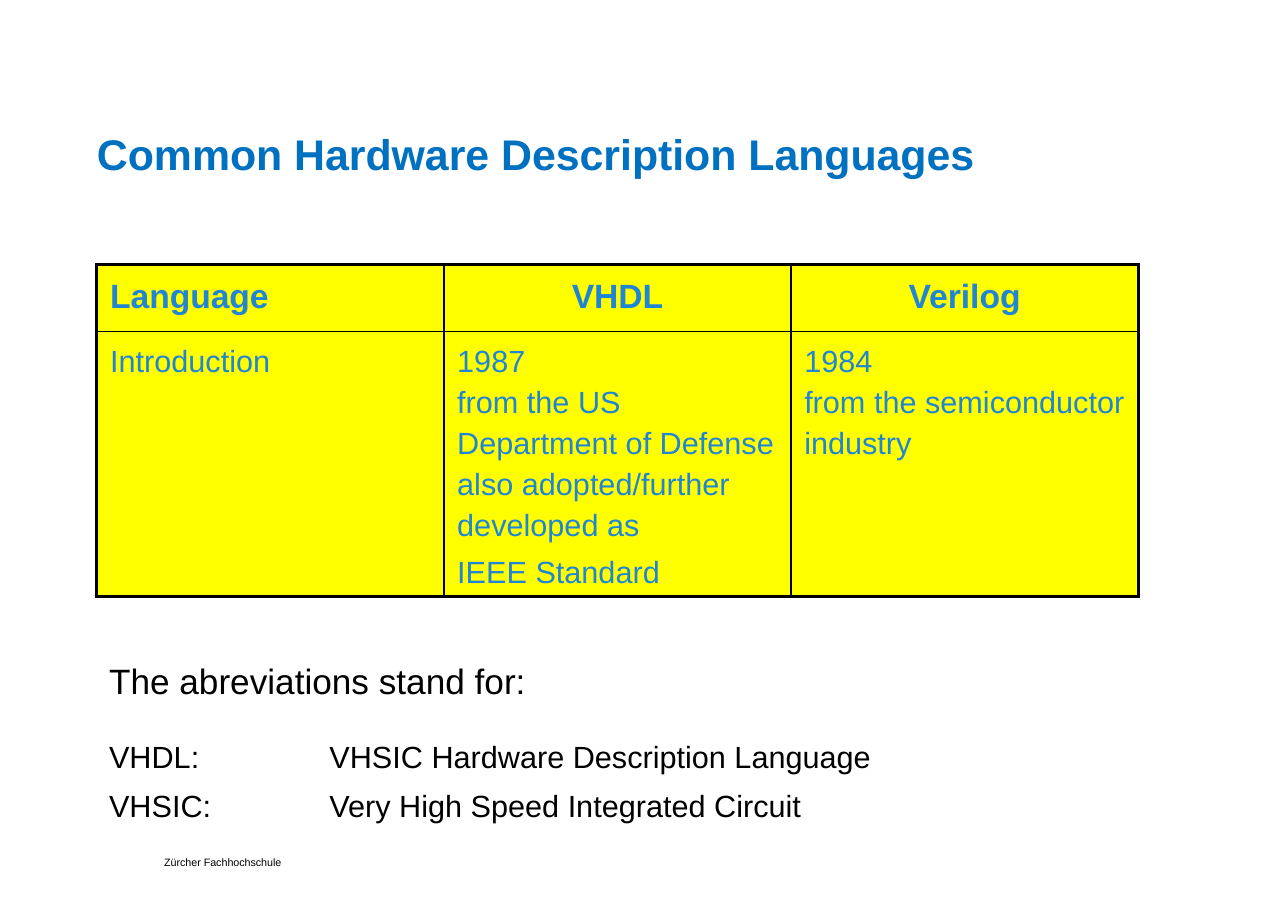
import pptx
import pptx.util
import pptx.dml.color
import pptx.enum.text
import pptx.oxml
import pptx.oxml.ns
from lxml import etree

Inches, Pt = pptx.util.Inches, pptx.util.Pt
RGB = pptx.dml.color.RGBColor
ALIGN = pptx.enum.text.PP_ALIGN
ANCHOR = pptx.enum.text.MSO_ANCHOR
qn = pptx.oxml.ns.qn

BLACK = RGB(0, 0, 0)
TITLE = RGB(0x00, 0x70, 0xC0)
BLUE = RGB(0x20, 0x85, 0xD4)
YELLOW = RGB(0xFF, 0xFF, 0x00)

HEAD = "Common Hardware Description Languages"
ROWS = [
    [["Language"], ["VHDL"], ["Verilog"]],
    [["Introduction"],
     ["1987\vfrom the US Department of Defense also adopted/further developed as",
      "IEEE Standard"],
     ["1984\vfrom the semiconductor industry"]],
]
HEIGHTS = [0.61, 2.4]
COL = 3.15
LEFT = 0.88
TERMS = ["The abreviations stand for:",
         "VHDL:\tVHSIC Hardware Description Language\v"
         "VHSIC:\tVery High Speed Integrated Circuit"]
FOOT = "Zürcher Fachhochschule"


def put(obj, vals):
    for key, val in vals.items():
        setattr(obj, key, val)


def write(frame, lines, fonts, form, gap=0):
    """Fill a frame with one paragraph per line; gap is the space before later ones."""
    frame.text = lines[0]
    for line in lines[1:]:
        frame.add_paragraph().text = line
    for i, para in enumerate(frame.paragraphs):
        put(para, form)
        if i and gap:
            para.space_before = Pt(gap)
        for run in para.runs:
            color, size, bold = fonts[min(i, len(fonts) - 1)]
            put(run.font, {"name": "Arial", "size": Pt(size), "bold": bold})
            run.font.color.rgb = color


def inset(obj, x, y):
    put(obj, {"margin_left": Inches(x), "margin_right": Inches(x),
              "margin_top": Inches(y), "margin_bottom": Inches(y)})


def edge(cell, sides):
    props = cell._tc.get_or_add_tcPr()
    for i, (side, width) in enumerate(sides.items()):
        line = etree.Element(qn("a:ln" + side), w=str(Pt(width)))
        fill = etree.SubElement(line, qn("a:solidFill"))
        etree.SubElement(fill, qn("a:srgbClr"), val=str(BLACK))
        props.insert(i, line)


def grid(slide):
    count = len(ROWS[0])
    table = slide.shapes.add_table(
        len(ROWS), count, Inches(LEFT), Inches(2.4),
        Inches(COL * count), Inches(sum(HEIGHTS))).table
    put(table, {"first_row": False, "horz_banding": False})
    for col in table.columns:
        col.width = Inches(COL)
    for r, row in enumerate(ROWS):
        table.rows[r].height = Inches(HEIGHTS[r])
        for c, lines in enumerate(row):
            cell = table.cell(r, c)
            inset(cell, 0.12, 0.06)
            cell.fill.solid()
            cell.fill.fore_color.rgb = YELLOW
            outer = {"L": c == 0, "R": c == count - 1,
                     "T": r == 0, "B": r == len(ROWS) - 1}
            edge(cell, {side: 2.25 if out else 1 for side, out in outer.items()})
            font = (BLUE, 20, False) if r else (BLUE, 22, True)
            mid = r == 0 and c > 0
            write(cell.text_frame, lines, [font],
                  {"line_spacing": 1.2,
                   "alignment": ALIGN.CENTER if mid else ALIGN.LEFT}, 4)


def label(slide, box, pad, lines, fonts, form):
    frame = slide.shapes.add_textbox(*map(Inches, box)).text_frame
    frame.word_wrap = True
    inset(frame, *pad)
    write(frame, lines, fonts, form)
    return frame


def main():
    deck = pptx.Presentation()
    put(deck, {"slide_width": Inches(11.69), "slide_height": Inches(8.27)})
    slide = deck.slides.add_slide(deck.slide_layouts[5])

    title = slide.shapes.title
    put(title, {"left": Inches(LEFT), "top": Inches(1.18),
                "width": Inches(9.94), "height": Inches(1.07)})
    frame = title.text_frame
    inset(frame, 0, 0)
    frame.vertical_anchor = ANCHOR.TOP
    write(frame, [HEAD], [(TITLE, 28, True)],
          {"line_spacing": Pt(32), "alignment": ALIGN.LEFT})

    grid(slide)

    terms = label(slide, (LEFT, 5.86, 7.21, 1.69), (0.11, 0.06), TERMS,
                  [(BLACK, 23, False), (BLACK, 20, False)],
                  {"line_spacing": Pt(32), "space_after": Pt(16)})
    tabs = etree.SubElement(terms.paragraphs[1]._p.get_or_add_pPr(), qn("a:tabLst"))
    etree.SubElement(tabs, qn("a:tab"), pos=str(Inches(2)), algn="l")

    label(slide, (1.49, 7.79, 1.32, 0.1), (0, 0), [FOOT],
          [(BLACK, 7, False)], {"line_spacing": Pt(7)})
    deck.save("out.pptx")


if __name__ == "__main__":
    main()
